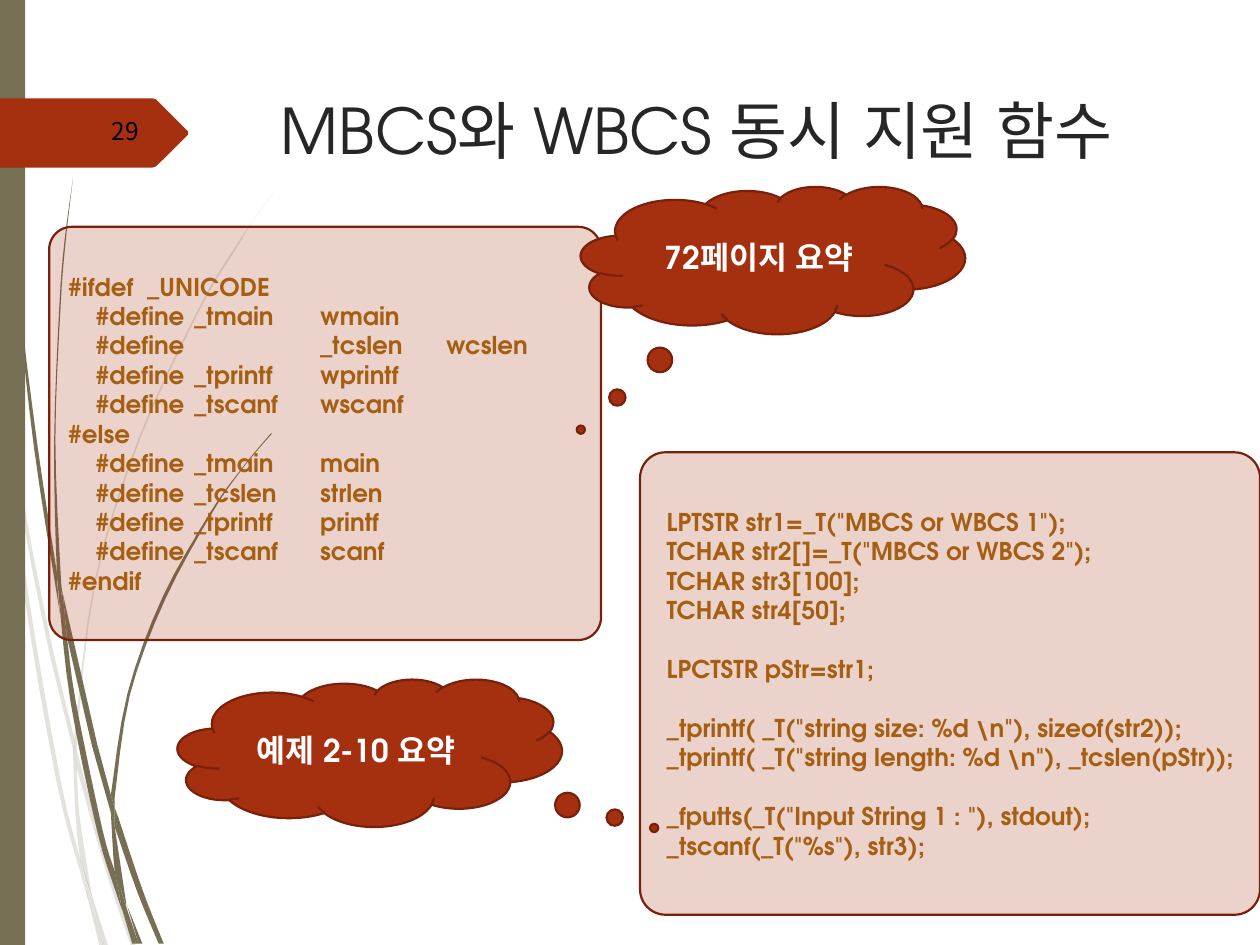
"""Build the slide on functions that support MBCS and WBCS at the same time."""
from dataclasses import dataclass

from lxml.etree import SubElement
from pptx import Presentation
from pptx.dml.color import RGBColor
from pptx.enum.shapes import MSO_SHAPE
from pptx.enum.text import MSO_ANCHOR, MSO_AUTO_SIZE, PP_ALIGN
from pptx.oxml.ns import qn
from pptx.util import Inches, Pt


@dataclass(frozen=True)
class Theme:
    olive: str = "766F54"
    rust: str = "A53010"
    outline: str = "782009"
    code: str = "A65F12"
    title: str = "262626"
    white: str = "FFFFFF"
    black: str = "000000"
    latin: str = "TeX Gyre Adventor"
    korean: str = "Noto Sans CJK KR"
    title_size: int = 36
    cloud_size: int = 18
    code_size: int = 14


T = Theme()


def paint(sp, color, alpha=100, line=None):
    sp.shadow.inherit = False
    sp.fill.solid()
    sp.fill.fore_color.rgb = RGBColor.from_string(color)
    if alpha < 100:
        clr = sp._element.spPr.find(qn("a:solidFill")).find(qn("a:srgbClr"))
        SubElement(clr, qn("a:alpha"), val=str(alpha * 1000))
    if line:
        sp.line.color.rgb = RGBColor.from_string(line)
        sp.line.width = Pt(1.25)
    else:
        sp.line.fill.background()


def write(tf, text, size, color, font=T.latin, bold=False, align=PP_ALIGN.LEFT,
          anchor=MSO_ANCHOR.MIDDLE, spacing=None, tabs=()):
    tf.word_wrap = True
    tf.auto_size = MSO_AUTO_SIZE.NONE
    tf.vertical_anchor = anchor
    gap = False
    for line in text.split("\n"):
        if not line:
            gap = True
            continue
        p = tf.paragraphs[0]
        if p.runs:
            p = tf.add_paragraph()
        p.alignment = align
        p.line_spacing = spacing
        if gap:
            p.space_before = Pt(size * 1.2)
            gap = False
        if tabs:
            tab_list = SubElement(p._p.get_or_add_pPr(), qn("a:tabLst"))
            for pos in tabs:
                SubElement(tab_list, qn("a:tab"), pos=str(Inches(pos)), algn="l")
        r = p.add_run()
        r.text = line
        r.font.name = font
        r.font.size = Pt(size)
        r.font.bold = bold
        r.font.color.rgb = RGBColor.from_string(color)
        SubElement(r._r.get_or_add_rPr(), qn("a:ea"), typeface=font)


prs = Presentation()
prs.slide_width, prs.slide_height = Inches(10), Inches(7.5)
s = prs.slides.add_slide(prs.slide_layouts[5])

pale_wisps = [
    ([(0.08, 3.5), (0.06, 3.22), (0, 2.82)], [(0, 2.99), (0.07, 3.44), (0.08, 3.5)]),
    ([(0.4, 5.22), (0.59, 5.99)],
     [(0.59, 5.86), (0.43, 5.2), (0.25, 4.33), (0.1, 3.45)],
     [(0.12, 3.76), (0.25, 4.49), (0.4, 5.22)]),
    ([(0.64, 6.07), (0.61, 5.96)], [(0.61, 6.1), (0.85, 6.94), (1.04, 7.51)],
     [(1.08, 7.51), (0.88, 6.92), (0.64, 6.07)]),
    ([(0.83, 7.51), (0.86, 7.51)], [(0.73, 7.11), (0.83, 7.51)]),
    ([(0.64, 6.83), (0.48, 6.19), (0.22, 4.69), (0.12, 3.76), (0.08, 3.5)],
     [(0.08, 3.5), (0.19, 4.7), (0.45, 6.21), (0.64, 6.93), (0.7, 7.14)],
     [(0.69, 7.07), (0.64, 6.83)]),
    ([(0.58, 5.99), (0.6, 6.46), (0.64, 6.83), (0.73, 7.11)],
     [(0.72, 7.06), (0.63, 6.46), (0.61, 6.1), (0.61, 6.08), (0.58, 5.99)]),
    ([(0.61, 5.84), (0.76, 4.62), (1.11, 3.49), (1.59, 2.45), (1.87, 1.98),
      (2.01, 1.75), (2.17, 1.53)],
     [(2.17, 1.53), (2.01, 1.75), (1.86, 1.97), (1.58, 2.44), (1.1, 3.48),
      (0.75, 4.61), (0.59, 5.84)], [(0.59, 5.86), (0.61, 5.96)]),
    ([(0.7, 7.14), (0.79, 7.51)], [(0.82, 7.51), (0.7, 7.14)]),
    ([(0.61, 6.08), (0.61, 6.1)], [(0.61, 5.96), (0.59, 5.86)], [(0.58, 5.99)]),
    ([(0.67, 6.92), (0.65, 6.83)], [(0.69, 7.07), (0.7, 7.14), (0.82, 7.51)],
     [(0.83, 7.51), (0.73, 7.11), (0.67, 6.92)]),
]
dark_wisps = [
    ([(0.05, 1.1), (0.14, 2.33), (0.27, 3.55), (0.46, 4.77), (0.47, 4.81)],
     [(0.45, 4.57), (0.45, 4.53), (0.3, 3.55), (0.15, 2.32), (0.06, 1.09),
      (0.04, 0.48), (0.03, 0)], [(0.02, 0), (0.03, 0.48), (0.05, 1.1)]),
    ([(0.73, 5.92), (0.88, 6.45)], [(0.88, 6.33), (0.88, 6.31)],
     [(0.77, 5.9), (0.5, 4.72)], [(0.53, 5.05), (0.73, 5.92)]),
    ([(0.94, 6.49), (0.91, 6.41)], [(0.91, 6.56), (1.09, 7.08), (1.26, 7.49)],
     [(1.3, 7.49), (1.13, 7.06), (0.94, 6.49)]),
    ([(0.91, 6.91), (0.81, 6.57), (0.6, 5.56), (0.53, 5.05), (0.47, 4.77)],
     [(0.47, 4.77), (0.56, 5.57), (0.77, 6.59), (0.92, 7.08), (0.97, 7.22)],
     [(0.96, 7.17), (0.91, 6.91)]),
    ([(0.5, 4.72), (0.48, 4.53), (0.44, 3.49), (0.48, 2.45), (0.52, 1.93), (0.58, 1.41)],
     [(0.58, 1.41), (0.51, 1.93), (0.47, 2.45), (0.43, 3.49), (0.45, 4.49), (0.49, 4.71)]),
    ([(1.1, 7.49), (1.13, 7.49)], [(1.01, 7.19), (1.1, 7.49)]),
    ([(0.47, 4.77), (0.53, 5.05)], [(0.5, 4.72), (0.49, 4.72)],
     [(0.45, 4.49), (0.45, 4.53), (0.47, 4.77)]),
    ([(0.91, 6.33), (1.03, 5.52), (1.31, 4.76), (1.69, 4.06), (1.91, 3.74),
      (2.03, 3.59), (2.16, 3.44)],
     [(2.15, 3.44), (2.03, 3.58), (1.91, 3.73), (1.68, 4.05), (1.29, 4.74),
      (1.01, 5.51), (0.88, 6.31)], [(0.91, 6.41), (0.91, 6.33)]),
    ([(0.97, 7.22), (1.05, 7.49)], [(1.08, 7.49), (0.97, 7.22)]),
    ([(0.88, 6.45), (0.91, 6.91), (0.96, 7.06), (1, 7.19)],
     [(1, 7.16), (0.91, 6.56), (0.9, 6.51), (0.88, 6.45)]),
    ([(0.88, 6.45), (0.9, 6.51), (0.91, 6.56)], [(0.91, 6.41), (0.88, 6.31)]),
    ([(0.96, 7.06), (0.91, 6.91)], [(0.96, 7.17), (0.97, 7.22), (1.08, 7.49)],
     [(1.1, 7.49), (1, 7.19), (0.96, 7.06)]),
]
for alpha, wisps in ((20, pale_wisps), (100, dark_wisps)):
    for edges in wisps:
        points = []
        for edge in edges:
            ends = [edge[0], *edge, edge[-1]]
            for quad in zip(ends, ends[1:], ends[2:], ends[3:]):
                for t in (0, 0.25, 0.5, 0.75):
                    points.append([
                        Inches(b + t * (c - a) / 2 + t**2 * (2*a - 5*b + 4*c - d) / 2
                               + t**3 * (3*b - a - 3*c + d) / 2)
                        for a, b, c, d in zip(*quad)])
            points.append([Inches(v) for v in edge[-1]])
        outline = s.shapes.build_freeform(*points[0])
        outline.add_line_segments(points[1:])
        paint(outline.convert_to_shape(), T.olive, alpha)

bar = s.shapes.add_shape(MSO_SHAPE.RECTANGLE, 0, 0, Inches(0.2), Inches(7.5))
paint(bar, T.olive)

arrow = s.shapes.build_freeform(0, Inches(0.78))
arrow.add_line_segments([(Inches(x), Inches(y)) for x, y in (
    (1.21, 0.78), (1.24, 0.79), (1.49, 1.04), (1.49, 1.07), (1.24, 1.32),
    (1.21, 1.33), (0, 1.33))])
paint(arrow.convert_to_shape(), T.rust)

title = s.shapes.title
title.left, title.top, title.width, title.height = map(Inches, (2.13, 0.68, 7.21, 1.4))
write(title.text_frame, "MBCS와 WBCS 동시 지원 함수", T.title_size, T.title,
      anchor=MSO_ANCHOR.TOP)

number = s.shapes.add_textbox(*map(Inches, (0.56, 0.86, 0.64, 0.4)))
write(number.text_frame, "29", T.code_size, T.black, font=T.korean,
      align=PP_ALIGN.RIGHT, spacing=0.8)

defines = """#ifdef  _UNICODE
    #define\t_tmain\twmain
    #define\t\t_tcslen\twcslen
    #define\t_tprintf\twprintf
    #define\t_tscanf\twscanf
#else
    #define\t_tmain\tmain
    #define\t_tcslen\tstrlen
    #define\t_tprintf\tprintf
    #define\t_tscanf\tscanf
#endif"""
example = r""" LPTSTR str1=_T("MBCS or WBCS 1");
 TCHAR str2[]=_T("MBCS or WBCS 2");
 TCHAR str3[100];
 TCHAR str4[50];

 LPCTSTR pStr=str1;

 _tprintf( _T("string size: %d \n"), sizeof(str2));
 _tprintf( _T("string length: %d \n"), _tcslen(pStr));

 _fputts(_T("Input String 1 : "), stdout);
 _tscanf(_T("%s"), str3);"""
panels = [
    ((0.39, 1.8, 4.38, 3.28), defines, (4.61, 1.48), "72페이지 요약", (-0.5, 1.15)),
    ((5.08, 3.59, 4.92, 3.67), example, (1.41, 5.39), "예제 2-10 요약", (0.74, 0.51)),
]
for box, code, corner, label, tail in panels:
    sp = s.shapes.add_shape(MSO_SHAPE.ROUNDED_RECTANGLE, *map(Inches, box))
    sp.adjustments[0] = 0.055
    paint(sp, T.rust, 21, T.outline)
    write(sp.text_frame, code, T.code_size, T.code, bold=True, tabs=range(1, 8))

    cloud = s.shapes.add_shape(MSO_SHAPE.CLOUD_CALLOUT,
                               *map(Inches, (*corner, 3.05, 1.17)))
    cloud.adjustments[0], cloud.adjustments[1] = tail
    paint(cloud, T.rust, line=T.outline)
    write(cloud.text_frame, label, T.cloud_size, T.white, bold=True,
          align=PP_ALIGN.CENTER)

prs.save("out.pptx")
